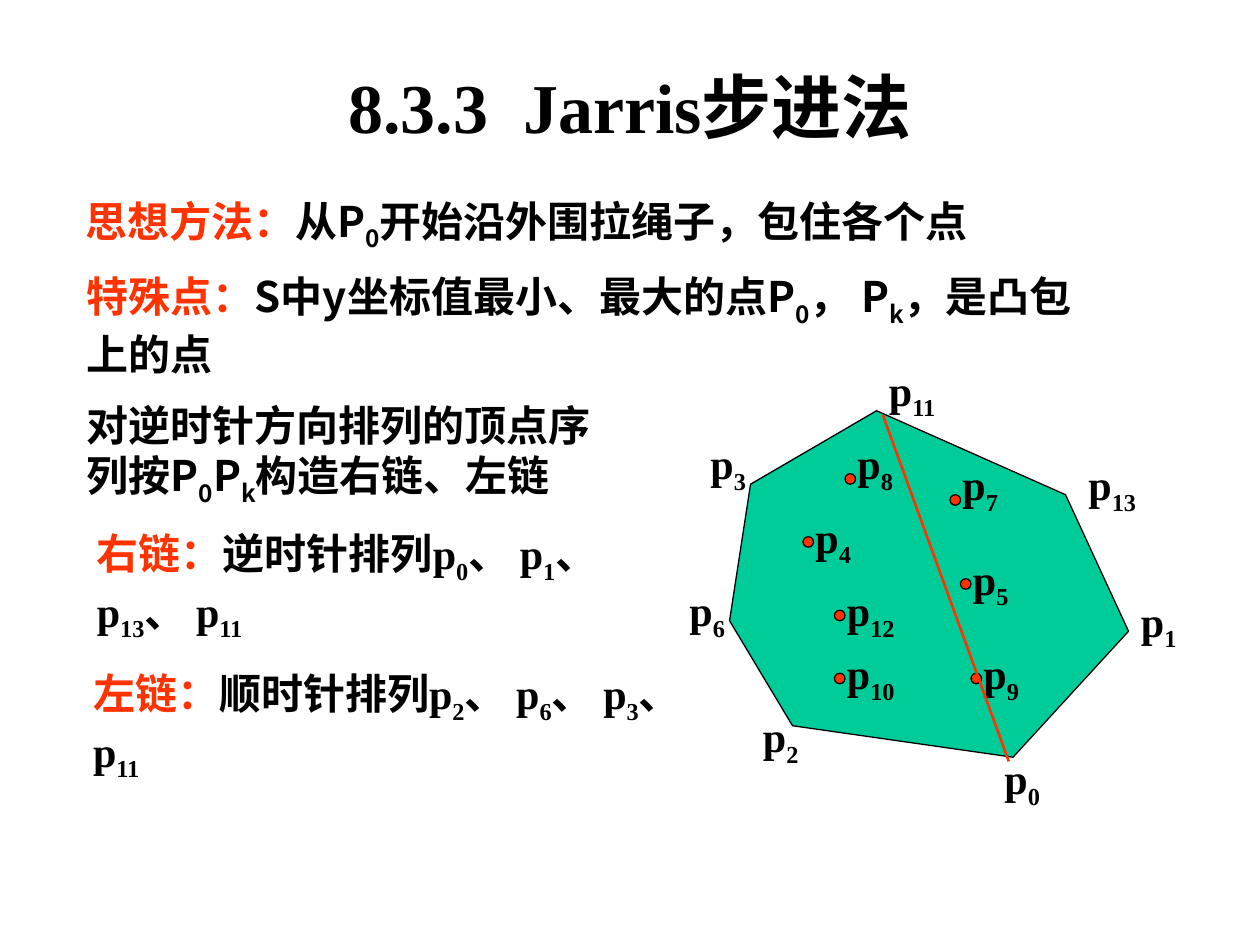
"""Build the slide on the Jarris march with its convex hull diagram."""
from lxml import etree
from pptx import Presentation
from pptx import util as u
from pptx.dml.color import RGBColor
from pptx.enum import shapes, text
from pptx.oxml import ns

COLOURS = {"ink": "000000", "accent": "FF3300", "hull": "00CC99"}
SERIF, SANS = "Times New Roman", "Noto Sans CJK SC"
CELL = 1 / 12
ORIGIN = (5.79, 3.26)
HULL = [(14, 0), (2, 7), (0, 20), (6, 30), (27, 33), (38, 21), (32, 8)]
CHORD = [(26.6, 33.4), (14.6, 0.4)]
DOTS = [(10, 19), (10, 25), (23, 25), (7, 12), (22, 16), (11, 6), (21, 8)]
LABELS = {
    "3": (-3, 2), "8": (11, 2), "6": (-5, 16), "2": (2, 28), "0": (25, 32),
    "4": (7, 9), "13": (33, 4), "1": (38, 17), "11": (14, -5), "5": (22, 13),
    "12": (10, 16), "9": (23, 22), "10": (10, 22), "7": (21, 4),
}
NOTES = [
    ((0.58, 1.5, 8.92, 0.67), [
        ("思想方法：", SERIF, "accent"), ("从", SERIF, "ink"),
        ("P~0~", SANS, "ink"), ("开始沿外围拉绳子，包住各个点", SERIF, "ink")]),
    ((0.59, 2.1, 8.25, 0.96), [
        ("特殊点：", SANS, "accent"),
        ("S中y坐标值最小、最大的点P~0~， P~k~，是凸包上的点", SANS, "ink")]),
    ((0.59, 3.12, 4.42, 0.96), [
        ("对逆时针方向排列的顶点序列", SANS, "ink"), ("按", SERIF, "ink"),
        ("P~0~P~k~", SANS, "ink"), ("构造右链、左链", SERIF, "ink")]),
    ((0.67, 4.14, 4.67, 1.01), [
        ("右链：", SERIF, "accent"), ("逆时针排列", SANS, "ink"),
        ("p~0~、 p~1~、 p~13~、 p~11~", SERIF, "ink")]),
    ((0.64, 5.25, 4.92, 1.01), [
        ("左链：", SERIF, "accent"), ("顺", SERIF, "ink"),
        ("时针排列", SANS, "ink"),
        ("p~2~、 p~6~、 p~3~、 p~11~", SERIF, "ink")]),
]


def colour(name):
    """Return the named colour."""
    return RGBColor.from_string(COLOURS[name])


def grid(point):
    """Turn a column and row of the diagram into slide lengths."""
    return [u.Inches(start + CELL * step) for start, step in zip(ORIGIN, point)]


def add_spans(para, words, font, ink):
    """Add words to a paragraph, lowering what stands between tildes."""
    for index, part in enumerate(words.split("~")):
        if part:
            span = para.add_run()
            span.text = part
            span.font.name = font
            span.font.color.rgb = colour(ink)
            properties = span.font._element
            etree.SubElement(properties, ns.qn("a:ea")).set("typeface", SANS)
            if index % 2:
                properties.set("baseline", "-25000")


def style_paragraph(para, size):
    """Set the size and weight that all runs share."""
    para.font.size = u.Pt(size)
    para.font.bold = True


def add_title(page, words):
    """Fill and place the title placeholder."""
    title = page.shapes.title
    title.left, title.top, title.width, title.height = map(
        u.Inches, (0.75, 0.42, 8.5, 0.83))
    title.text_frame.vertical_anchor = text.MSO_ANCHOR.MIDDLE
    para = title.text_frame.paragraphs[0]
    para.alignment = text.PP_ALIGN.CENTER
    add_spans(para, words, SERIF, "ink")
    style_paragraph(para, 40)


def add_note(page, place, spans, wrap=True):
    """Add a text box with one paragraph of styled spans."""
    box = page.add_textbox(*place)
    box.text_frame.word_wrap = wrap
    para = box.text_frame.paragraphs[0]
    for words, font, ink in spans:
        add_spans(para, words, font, ink)
    style_paragraph(para, 24)


def paint(shape, fill):
    """Give a shape a flat fill and a thin dark outline."""
    shape.shadow.inherit = False
    shape.fill.solid()
    shape.fill.fore_color.rgb = colour(fill)
    shape.line.color.rgb = colour("ink")
    shape.line.width = u.Pt(0.75)


def add_hull(diagram):
    """Draw the convex hull as a closed outline."""
    start, *rest = [grid(point) for point in HULL]
    builder = diagram.build_freeform(*start)
    builder.add_line_segments(rest, close=True)
    paint(builder.convert_to_shape(), "hull")


def add_label(diagram, index, point):
    """Name a point with its lowered index."""
    size = u.Inches(0.38 + 0.1 * len(index)), u.Inches(0.56)
    add_note(diagram, (*grid(point), *size), [(f"p~{index}~", SERIF, "ink")], False)


def add_dot(diagram, point):
    """Mark an inner point."""
    size = u.Inches(CELL)
    kind = shapes.MSO_SHAPE.FLOWCHART_CONNECTOR
    paint(diagram.add_shape(kind, *grid(point), size, size), "accent")


def add_chord(page):
    """Draw the line that parts the left chain from the right one."""
    start, end = map(grid, CHORD)
    chord = page.shapes.add_connector(shapes.MSO_CONNECTOR.STRAIGHT, *start, *end)
    chord.line.color.rgb = colour("accent")
    chord.line.width = u.Pt(1.5)
    etree.SubElement(chord._element.spPr, ns.qn("a:effectLst"))


def main():
    """Build and save the deck."""
    deck = Presentation()
    deck.slide_width, deck.slide_height = u.Inches(10), u.Inches(7.5)
    page = deck.slides.add_slide(deck.slide_layouts[5])
    add_title(page, "8.3.3  Jarris步进法")
    for place, spans in NOTES:
        add_note(page.shapes, map(u.Inches, place), spans)
    diagram = page.shapes.add_group_shape().shapes
    add_hull(diagram)
    for index, point in LABELS.items():
        add_label(diagram, index, point)
    for point in DOTS:
        add_dot(diagram, point)
    add_chord(page)
    deck.save("out.pptx")


if __name__ == "__main__":
    main()
